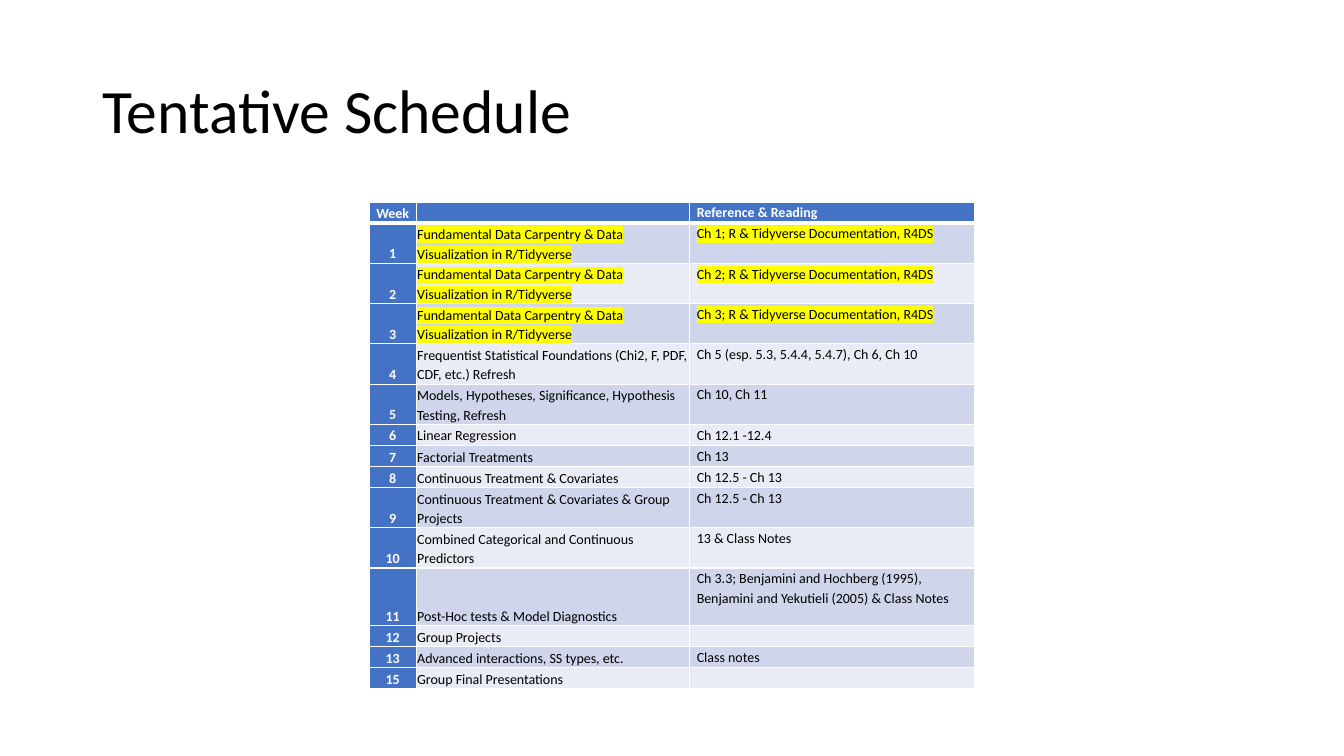
from lxml import etree
from pptx import Presentation
from pptx import util as u
from pptx.dml.color import RGBColor
from pptx.enum import text
from pptx.oxml import ns

COLORS = {"ink": "000000", "paper": "FFFFFF", "header": "4472C4",
          "odd": "CFD5EA", "even": "E9EBF5", "marker": "FFFF00"}
FONT = "Calibri"
CARPENTRY = "Fundamental Data Carpentry & Data Visualization in R/Tidyverse"
DOCS = "R & Tidyverse Documentation, R4DS"
SHORT, DOUBLE, TALL = 0.53, 0.99, 1.45
HIGHLIGHTED_WEEKS = ("1", "2", "3")
COLUMN_SHARES = (0.47, 2.71, 2.83)
SCHEDULE = [
    (SHORT, "Week", "", "Reference & Reading"),
    (DOUBLE, "1", CARPENTRY, f"Ch 1; {DOCS}"),
    (DOUBLE, "2", CARPENTRY, f"Ch 2; {DOCS}"),
    (DOUBLE, "3", CARPENTRY, f"Ch 3; {DOCS}"),
    (DOUBLE, "4", "Frequentist Statistical Foundations (Chi2, F, PDF, CDF, etc.) Refresh",
     "Ch 5 (esp. 5.3, 5.4.4, 5.4.7), Ch 6, Ch 10"),
    (DOUBLE, "5", "Models, Hypotheses, Significance, Hypothesis Testing, Refresh", "Ch 10, Ch 11"),
    (SHORT, "6", "Linear Regression", "Ch 12.1 -12.4"),
    (SHORT, "7", "Factorial Treatments", "Ch 13"),
    (SHORT, "8", "Continuous Treatment & Covariates", "Ch 12.5 - Ch 13"),
    (DOUBLE, "9", "Continuous Treatment & Covariates & Group Projects", "Ch 12.5 - Ch 13"),
    (DOUBLE, "10", "Combined Categorical and Continuous Predictors", "13 & Class Notes"),
    (TALL, "11", "Post-Hoc tests & Model Diagnostics",
     "Ch 3.3; Benjamini and Hochberg (1995), Benjamini and Yekutieli (2005) & Class Notes"),
    (SHORT, "12", "Group Projects", ""),
    (SHORT, "13", "Advanced interactions, SS types, etc.", "Class notes"),
    (SHORT, "15", "Group Final Presentations", ""),
]


def rgb(name):
    return RGBColor.from_string(COLORS[name])


def add_color(parent, tag, name):
    element = etree.SubElement(parent, ns.qn(tag))
    etree.SubElement(element, ns.qn("a:srgbClr"), val=COLORS[name])
    return element


def style_runs(paragraph, size, color, bold=False, marked=False):
    for run in paragraph.runs:
        run.font.size = u.Pt(size)
        run.font.bold = bold
        run.font.color.rgb = rgb(color)
        if marked:
            add_color(run.font._element, "a:highlight", "marker")
        run.font.name = FONT


def add_title(slide, left, top, width, height):
    title = slide.shapes.add_textbox(u.Cm(left), u.Cm(top), u.Cm(width), u.Cm(height))
    frame = title.text_frame
    frame.word_wrap = True
    frame.vertical_anchor = text.MSO_ANCHOR.MIDDLE
    frame.text = "Tentative Schedule"
    frame.paragraphs[0].line_spacing = 0.9
    style_runs(frame.paragraphs[0], 44, "ink")


def add_borders(cell, row):
    properties = cell._tc.get_or_add_tcPr()
    thick = {0: "a:lnB", 1: "a:lnT"}.get(row)
    for tag in ("a:lnL", "a:lnR", "a:lnT", "a:lnB"):
        width = u.Pt(3 if tag == thick else 1)
        edge = etree.SubElement(properties, ns.qn(tag), w=str(int(width)))
        add_color(edge, "a:solidFill", "paper")


def fill_cell(cell, row, column, words, marked):
    heading = row == 0 or column == 0
    add_borders(cell, row)
    cell.fill.solid()
    cell.fill.fore_color.rgb = rgb("header" if heading else "odd" if row % 2 else "even")
    reading = column == 2
    cell.margin_left = cell.margin_right = u.Cm(0.18 if reading else 0.02)
    cell.margin_top = cell.margin_bottom = u.Cm(0 if reading else 0.02)
    cell.vertical_anchor = text.MSO_ANCHOR.TOP if reading else text.MSO_ANCHOR.BOTTOM
    cell.text_frame.text = words
    paragraph = cell.text_frame.paragraphs[0]
    paragraph.line_spacing = 1.15
    paragraph.alignment = text.PP_ALIGN.LEFT if column else text.PP_ALIGN.CENTER
    style_runs(paragraph, 10, "paper" if heading else "ink", heading, marked)
    if not words:
        etree.SubElement(paragraph._p, ns.qn("a:endParaRPr"), sz="1000")


def add_schedule(slide, left, top, width):
    height = sum(entry[0] for entry in SCHEDULE)
    schedule = slide.shapes.add_table(len(SCHEDULE), len(COLUMN_SHARES), u.Cm(left),
                                      u.Cm(top), u.Cm(width), u.Cm(height)).table
    for column, share in zip(schedule.columns, COLUMN_SHARES):
        column.width = u.Cm(width * share / sum(COLUMN_SHARES))
    for row, (row_height, *entries) in enumerate(SCHEDULE):
        schedule.rows[row].height = u.Cm(row_height)
        for column, words in enumerate(entries):
            marked = column > 0 and entries[0] in HIGHLIGHTED_WEEKS
            fill_cell(schedule.cell(row, column), row, column, words, marked)


def main():
    deck = Presentation()
    deck.slide_width, deck.slide_height = u.Cm(33.87), u.Cm(19.05)
    slide = deck.slides.add_slide(deck.slide_layouts[6])
    add_title(slide, 2.33, 1.01, 29.21, 3.68)
    add_schedule(slide, 9.3, 5.09, 15.27)
    deck.save("out.pptx")


if __name__ == "__main__":
    main()
